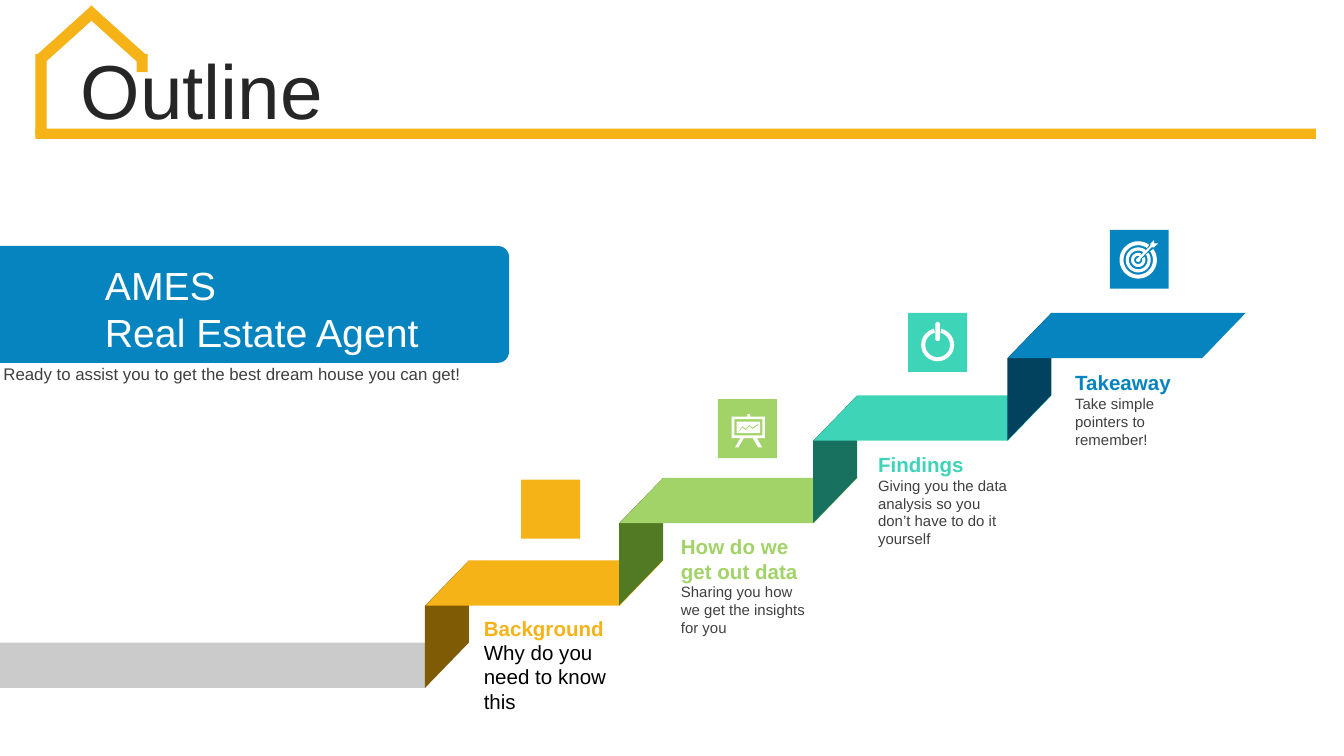
from dataclasses import dataclass
from math import cos, radians, sin

from pptx import Presentation
from pptx.dml.color import RGBColor
from pptx.enum import shapes, text
from pptx.util import Pt

SHAPE = shapes.MSO_SHAPE


@dataclass(frozen=True)
class Theme:
    font: str = "Arial"
    gold: str = "F5B317"
    green: str = "A2D368"
    teal: str = "3ED4B7"
    blue: str = "0684BF"
    dark_gold: str = "805B05"
    dark_green: str = "527923"
    dark_teal: str = "18705F"
    dark_blue: str = "02425F"
    floor: str = "CBCBCB"
    title_ink: str = "262626"
    ink: str = "3F3F3F"
    black: str = "000000"
    white: str = "FFFFFF"
    title: float = 41
    banner: float = 21
    heading: float = 11
    tagline: float = 9
    body: float = 8


T = Theme()


@dataclass(frozen=True)
class Step:
    heading: str
    body: str
    color: str
    dark: str
    tile: tuple
    heading_lines: int = 1
    body_size: float = T.body
    body_color: str = T.ink


STEPS = [
    Step("Background", "Why do you need to know this", T.gold, T.dark_gold,
         (279.2, 257), body_size=T.heading, body_color=T.black),
    Step("How do we get out data", "Sharing you how we get the insights for you",
         T.green, T.dark_green, (384.6, 213.8), heading_lines=2),
    Step("Findings", "Giving you the data analysis so you don’t have to do it yourself",
         T.teal, T.dark_teal, (486.5, 167.6)),
    Step("Takeaway", "Take simple pointers to remember!", T.blue, T.dark_blue,
         (594.5, 123.1)),
]
TILE = 31.6


def paint(s, color):
    s.shadow.inherit = False
    s.fill.solid()
    s.fill.fore_color.rgb = RGBColor.from_string(color)
    s.line.fill.background()


def add_block(slide, kind, x, y, w, h, color, rotation=0, adjust=()):
    s = slide.shapes.add_shape(kind, Pt(x), Pt(y), Pt(w), Pt(h))
    paint(s, color)
    s.rotation = rotation
    for i, value in enumerate(adjust):
        s.adjustments[i] = value
    return s


def style_text(tf, words, size, color, bold=False, spacing=None):
    tf.text = words
    tf.word_wrap = True
    p = tf.paragraphs[0]
    p.alignment = text.PP_ALIGN.LEFT
    p.line_spacing = spacing
    p.font.name, p.font.size, p.font.bold = T.font, Pt(size), bold
    p.font.color.rgb = RGBColor.from_string(color)


def add_label(slide, x, y, w, h, words, size, color, side=0, **style):
    tf = slide.shapes.add_textbox(Pt(x), Pt(y), Pt(w), Pt(h)).text_frame
    tf.margin_top = tf.margin_bottom = 0
    tf.margin_left = tf.margin_right = Pt(side)
    tf.auto_size = text.MSO_AUTO_SIZE.SHAPE_TO_FIT_TEXT
    style_text(tf, words, size, color, **style)


def arc(cx, cy, radius, start, end, count=40):
    """Points on a circle; degrees run clockwise from the top."""
    angles = [radians(start + (end - start) * i / count) for i in range(count + 1)]
    return [(cx + radius * sin(a), cy - radius * cos(a)) for a in angles]


def open_ring(cx, cy, outer, inner, middle, half_gap):
    """Outline of a ring with a gap centred on the angle middle."""
    start, end = middle + half_gap, middle + 360 - half_gap
    return arc(cx, cy, outer, start, end) + arc(cx, cy, inner, end, start)


def box(left, top, right, bottom):
    return [(left, top), (right, top), (right, bottom), (left, bottom)]


def easel():
    board = [(15.8, 8), (17.3, 8), (17.3, 9.4), (25.2, 9.4), (25.2, 20.9),
             (20.9, 20.9), (23.8, 25.9), (21.6, 25.9), (18.7, 20.9),
             (13.9, 20.9), (11, 25.9), (9.2, 25.9), (12.1, 20.9),
             (7.4, 20.9), (7.4, 9.4), (15.8, 9.4)]
    trend = [(11.5, 16.7), (13.1, 14.5), (15, 15.9), (16.8, 13.8),
             (18.7, 15.3), (21.6, 13.1)]
    band = trend + [(x, y + 0.8) for x, y in reversed(trend)]
    return [board, box(8.8, 10.8, 23.8, 19.4), box(10, 12.1, 22.6, 18.3), band]


def power():
    bar = arc(15.8, 6.1, 1.2, -90, 90) + arc(15.8, 14, 1.2, 90, 270)
    return [open_ring(15.8, 17.2, 8.8, 6.6, 0, 13), bar]


def target():
    rings = [(10, 7.9, 9), (6.7, 5, 10), (3.8, 2.2, 22)]
    dart = [(23.8, 5.6), (23.8, 7.4), (25.9, 7.4), (23.8, 9.5), (22.4, 9.5),
            (16.5, 15.7), (16.4, 16.8), (15.3, 17.4), (14.2, 16.8),
            (14.2, 15.7), (15.3, 15), (21.8, 8.6), (21.8, 7.6)]
    return [open_ring(15.3, 16.2, outer, inner, 45, gap)
            for outer, inner, gap in rings] + [dart]


def add_icon(slide, origin, contours):
    ox, oy = origin
    builder = None
    for contour in contours:
        points = [(Pt(ox + x), Pt(oy + y)) for x, y in contour]
        if builder is None:
            builder = slide.shapes.build_freeform(*points[0])
        else:
            builder.move_to(*points[0])
        builder.add_line_segments(points[1:], close=True)
    paint(builder.convert_to_shape(), T.white)


def add_house(slide):
    beams = [(19, 68.9, 686, 5.6, 0), (19, 29, 6, 43.4, 0),
             (73.2, 29, 6, 9.6, 0), (33.1, -1.4, 6, 40.3, 48),
             (59, -1.4, 6, 40.3, 312)]
    for x, y, w, h, rotation in beams:
        add_block(slide, SHAPE.RECTANGLE, x, y, w, h, T.gold, rotation)


def add_title(slide, words):
    s = slide.shapes.title
    s.left, s.top, s.width, s.height = Pt(38.2), Pt(29.5), Pt(664.6), Pt(42.5)
    tf = s.text_frame
    tf.margin_left = tf.margin_right = Pt(5)
    tf.margin_top = tf.margin_bottom = Pt(2.9)
    tf.vertical_anchor = text.MSO_ANCHOR.MIDDLE
    tf.auto_size = text.MSO_AUTO_SIZE.NONE
    style_text(tf, words, T.title, T.title_ink, spacing=0.9)


def add_banner(slide):
    add_block(slide, SHAPE.ROUND_2_SAME_RECTANGLE, 105, 26.7, 62.6, 272.8,
              T.blue, 90, (0.095, 0))
    for y, w, words in [(138.2, 110, "AMES"), (163.4, 210, "Real Estate Agent")]:
        add_label(slide, 54, y, w, 25.2, words, T.banner, T.white,
                  side=2.2, spacing=1.07)
    add_label(slide, 1.8, 194.6, 273, 10.8,
              "Ready to assist you to get the best dream house you can get!",
              T.tagline, T.ink)


def add_stair(slide, i, step):
    x, y = 228 + 104 * i, 300.2 - 44.2 * i
    riser = add_block(slide, SHAPE.PARALLELOGRAM, x - 22.8, y + 22.4, 68.4, 23.6,
                      step.dark, 270, (1.032,))
    riser._element.spPr.xfrm.set("flipH", "1")
    add_block(slide, SHAPE.PARALLELOGRAM, x, y, 127.4, 24.3, step.color,
              adjust=(0.963,))


def add_caption(slide, i, step):
    x, y = 259.2 + 105.6 * i, 329.8 - 43.8 * i
    heading_height = 13 * step.heading_lines
    add_label(slide, x, y, 72, heading_height, step.heading, T.heading,
              step.color, bold=True)
    add_label(slide, x, y + heading_height, 72, 30, step.body, step.body_size,
              step.body_color)


def main():
    prs = Presentation()
    prs.slide_width, prs.slide_height = Pt(720), Pt(405)
    slide = prs.slides.add_slide(prs.slide_layouts[5])
    add_house(slide)
    add_title(slide, "Outline")
    add_banner(slide)
    add_block(slide, SHAPE.RECTANGLE, 0, 344.3, 228, 24.3, T.floor)
    for i, step in enumerate(STEPS):
        add_caption(slide, i, step)
        add_stair(slide, i, step)
        add_block(slide, SHAPE.RECTANGLE, *step.tile, TILE, TILE, step.color)
    for step, icon in zip(STEPS[1:], (easel, power, target)):
        add_icon(slide, step.tile, icon())
    prs.save("out.pptx")


if __name__ == "__main__":
    main()
